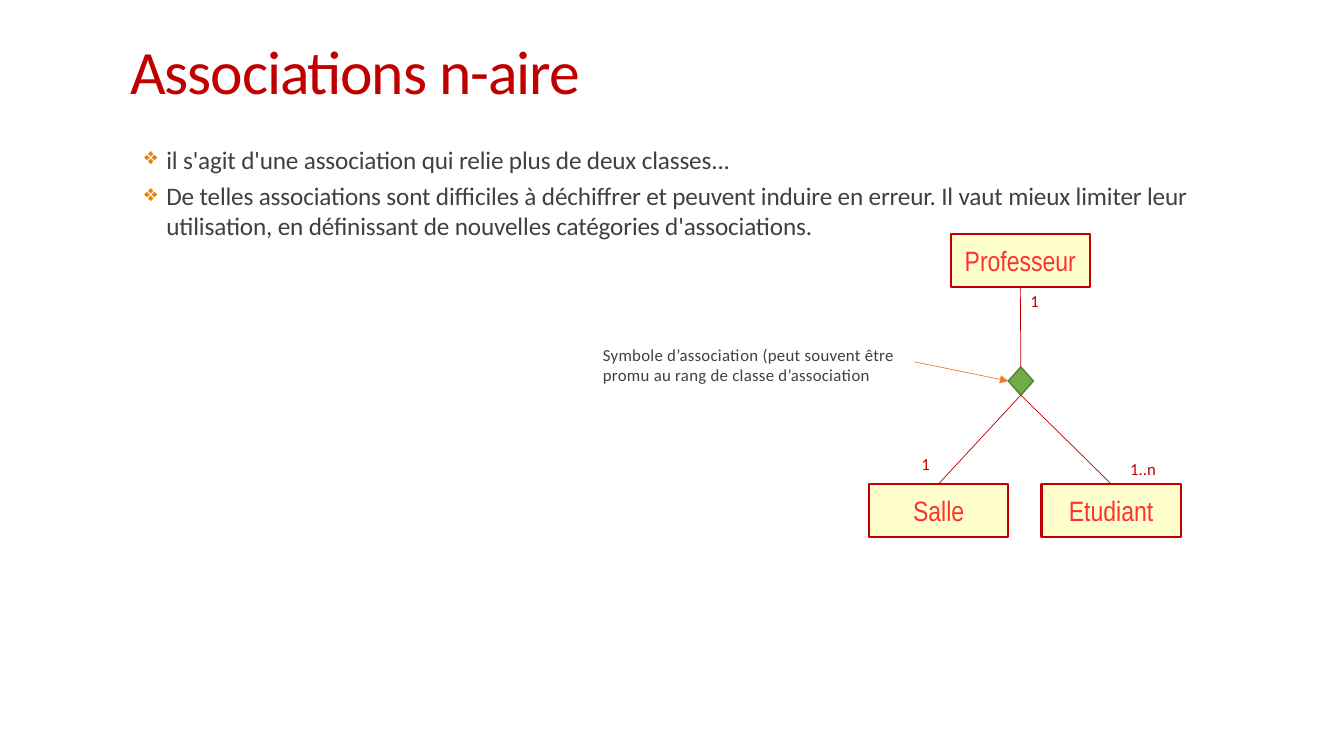
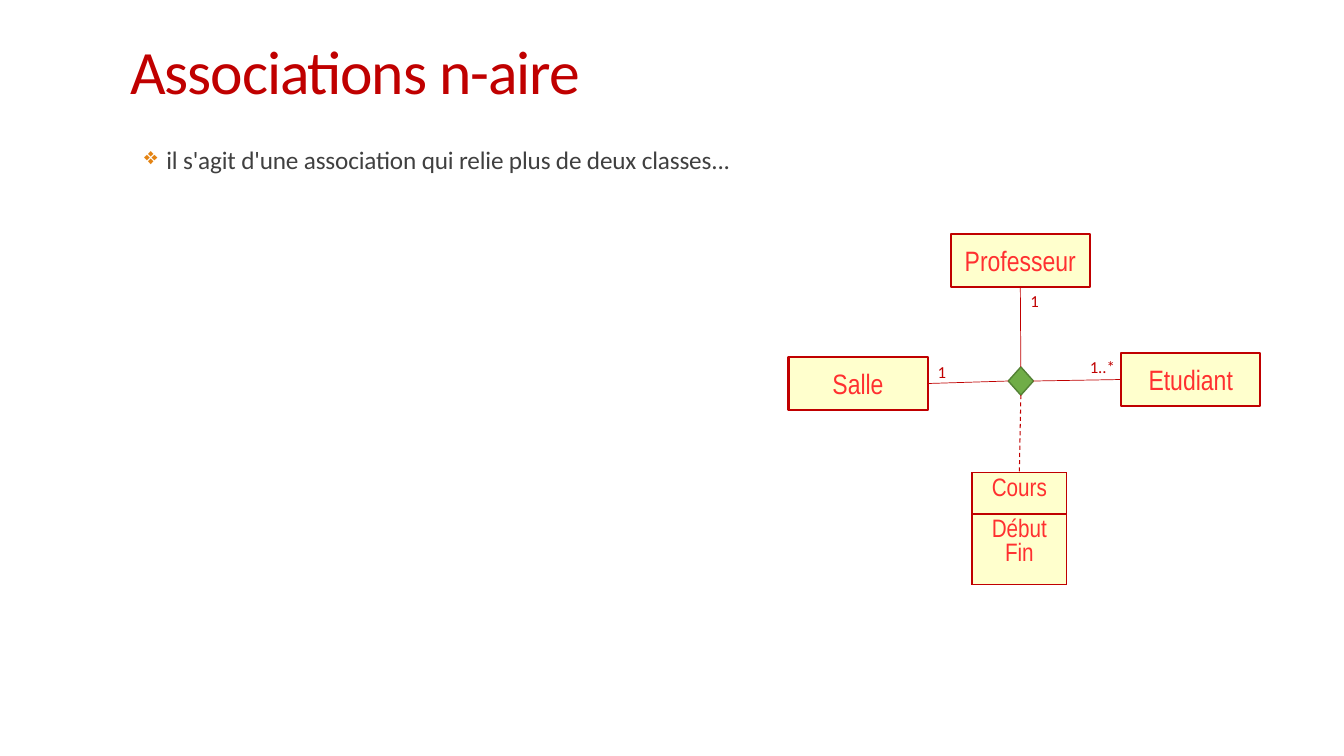
from dataclasses import dataclass
from typing import Optional

from lxml.etree import SubElement
from pptx import Presentation
from pptx.dml.color import RGBColor
from pptx.enum.dml import MSO_LINE
from pptx.enum.shapes import MSO_CONNECTOR, MSO_SHAPE
from pptx.enum.text import MSO_ANCHOR, PP_ALIGN
from pptx.oxml.ns import qn
from pptx.util import Inches, Pt

TOP, LEFT, BOTTOM, RIGHT = range(4)


@dataclass(frozen=True)
class Theme:
    red: RGBColor = RGBColor(0xC0, 0x00, 0x00)
    class_text: RGBColor = RGBColor(0xFF, 0x30, 0x30)
    class_fill: RGBColor = RGBColor(0xFF, 0xFF, 0xCD)
    body: RGBColor = RGBColor(0x40, 0x40, 0x40)
    bullet: str = "E48312"
    diamond_fill: RGBColor = RGBColor(0x70, 0xAD, 0x47)
    diamond_line: RGBColor = RGBColor(0x53, 0x81, 0x35)
    arrow: RGBColor = RGBColor(0xED, 0x7D, 0x31)
    text_font: str = "Calibri"
    class_font: str = "Arial Narrow"
    title_size: int = 44
    body_size: int = 18
    class_size: int = 20
    note_size: int = 12


THEME = Theme()
TITLE = "Associations n-aire"
DEFINITION = "il s'agit d'une association qui relie plus de deux classes..."
WARNING = (
    "De telles associations sont difficiles à déchiffrer et peuvent induire en erreur. "
    "Il vaut mieux limiter leur utilisation, en définissant de nouvelles catégories d'associations."
)
NOTE = "Symbole d’association (peut souvent être promu au rang de classe d’association"


@dataclass(frozen=True)
class ClassBox:
    name: str
    left: float
    top: float
    box_side: int
    diamond_side: int


@dataclass(frozen=True)
class Label:
    text: str
    left: float
    top: float
    width: float = 0.25


PROFESSOR = ClassBox("Professeur", 9.43, 2.32, BOTTOM, TOP)
PROFESSOR_LABEL = Label("1", 10.12, 2.84)


def style_paragraph(paragraph, size: int, color: RGBColor, font: str, spacing: float = 0) -> None:
    for run in paragraph.runs:
        run.font.size = Pt(size)
        run.font.name = font
        run.font.color.rgb = color
        if spacing:
            run.font._element.set("spc", str(round(spacing * 100)))


def add_text(slide, text: str, left: float, top: float, width: float, height: float,
             size: int, color: RGBColor, spacing: float = 0, inset: Optional[float] = None):
    """Add a text box; a given inset is the top margin and clears the others."""
    shape = slide.shapes.add_textbox(Inches(left), Inches(top), Inches(width), Inches(height))
    frame = shape.text_frame
    frame.word_wrap = True
    if inset is not None:
        frame.margin_left = frame.margin_right = frame.margin_bottom = 0
        frame.margin_top = Inches(inset)
    frame.text = text
    for paragraph in frame.paragraphs:
        style_paragraph(paragraph, size, color, THEME.text_font, spacing)
    return shape


def add_bullets(slide, items: list[str], height: float) -> None:
    shape = add_text(slide, "\n".join(items), 1.41, 1.37, 10.45, height,
                     THEME.body_size, THEME.body, -0.1, 0.06)
    for index, paragraph in enumerate(shape.text_frame.paragraphs):
        properties = paragraph._p.get_or_add_pPr()
        properties.set("marL", str(Inches(0.24)))
        properties.set("indent", str(Inches(-0.22)))
        color = SubElement(properties, qn("a:buClr"))
        SubElement(color, qn("a:srgbClr"), val=THEME.bullet)
        SubElement(properties, qn("a:buSzPct"), val="94000")
        SubElement(properties, qn("a:buChar"), char="❖")
        if index:
            paragraph.space_before = Pt(4.4)


def add_shape(slide, kind: MSO_SHAPE, left: float, top: float, width: float, height: float,
              fill: RGBColor, line: RGBColor, line_width: float):
    shape = slide.shapes.add_shape(kind, Inches(left), Inches(top), Inches(width), Inches(height))
    shape.shadow.inherit = False
    shape.fill.solid()
    shape.fill.fore_color.rgb = fill
    shape.line.color.rgb = line
    shape.line.width = Pt(line_width)
    return shape


def add_line(slide, start: tuple[float, float] = (0, 0), end: tuple[float, float] = (0, 0),
             color: RGBColor = THEME.red, width: float = 0.5):
    connector = slide.shapes.add_connector(MSO_CONNECTOR.STRAIGHT, *map(Inches, start + end))
    connector.line.color.rgb = color
    connector.line.width = Pt(width)
    SubElement(connector._element.spPr, qn("a:effectLst"))
    return connector


def add_association(slide, boxes: list[ClassBox], labels: list[Label]):
    """Draw the classes, each joined to the central diamond, and return the diamond."""
    diamond = add_shape(slide, MSO_SHAPE.DIAMOND, 10, 3.64, 0.25, 0.28,
                        THEME.diamond_fill, THEME.diamond_line, 1)
    for box in boxes:
        shape = add_shape(slide, MSO_SHAPE.RECTANGLE, box.left, box.top, 1.38, 0.53,
                          THEME.class_fill, THEME.red, 1.5)
        frame = shape.text_frame
        frame.text = box.name
        frame.vertical_anchor = MSO_ANCHOR.MIDDLE
        paragraph = frame.paragraphs[0]
        paragraph.alignment = PP_ALIGN.CENTER
        style_paragraph(paragraph, THEME.class_size, THEME.class_text, THEME.class_font)
        connector = add_line(slide)
        connector.begin_connect(diamond, box.diamond_side)
        connector.end_connect(shape, box.box_side)
    for label in labels:
        add_text(slide, label.text, label.left, label.top, label.width, 0.3,
                 THEME.note_size, THEME.red)
    return diamond


def add_class_table(slide, rows: list[tuple[str, float]]) -> None:
    """Draw an association class; each row is its text and height."""
    height = sum(row_height for _, row_height in rows)
    table = slide.shapes.add_table(len(rows), 1, Inches(9.64), Inches(4.69),
                                   Inches(0.94), Inches(height)).table
    table.first_row = table.horz_banding = False
    for index, (text, row_height) in enumerate(rows):
        table.rows[index].height = Inches(row_height)
        cell = table.cell(index, 0)
        cell.text_frame.text = text
        for paragraph in cell.text_frame.paragraphs:
            paragraph.alignment = PP_ALIGN.CENTER
            style_paragraph(paragraph, THEME.body_size, THEME.class_text, THEME.class_font)
        # Borders come before the fill in the cell properties
        properties = cell._tc.get_or_add_tcPr()
        for side in ("lnL", "lnR", "lnT", "lnB"):
            border = SubElement(properties, qn(f"a:{side}"), w=str(Pt(1)))
            fill = SubElement(border, qn("a:solidFill"))
            SubElement(fill, qn("a:srgbClr"), val=str(THEME.red))
        cell.fill.solid()
        cell.fill.fore_color.rgb = THEME.class_fill


def add_slide(presentation, bullets: list[str], bullets_height: float):
    slide = presentation.slides.add_slide(presentation.slide_layouts[6])
    title = add_text(slide, TITLE, 1.29, 0.27, 7.99, 0.83,
                     THEME.title_size, THEME.red, -0.8, 0.01)
    title.text_frame.vertical_anchor = MSO_ANCHOR.MIDDLE
    add_bullets(slide, bullets, bullets_height)
    return slide


def build_symbol_slide(presentation) -> None:
    slide = add_slide(presentation, [DEFINITION, WARNING], 1.03)
    diamond = add_association(
        slide,
        [PROFESSOR, ClassBox("Etudiant", 10.33, 4.8, TOP, BOTTOM),
         ClassBox("Salle", 8.62, 4.8, TOP, BOTTOM)],
        [PROFESSOR_LABEL, Label("1", 9.04, 4.45), Label("1..n", 11.11, 4.5, 0.61)],
    )
    # Note pointing at the diamond
    add_text(slide, NOTE, 5.98, 3.35, 3.08, 0.48, THEME.note_size, THEME.body, 0.2, 0.07)
    arrow = add_line(slide, start=(9.07, 3.59), color=THEME.arrow)
    arrow.end_connect(diamond, LEFT)
    SubElement(arrow.line._get_or_add_ln(), qn("a:tailEnd"), type="triangle")


def build_class_slide(presentation) -> None:
    slide = add_slide(presentation, [DEFINITION], 0.36)
    diamond = add_association(
        slide,
        [PROFESSOR, ClassBox("Etudiant", 11.12, 3.5, LEFT, RIGHT),
         ClassBox("Salle", 7.82, 3.54, RIGHT, LEFT)],
        [PROFESSOR_LABEL, Label("1", 9.2, 3.54), Label("1..*", 10.71, 3.49, 0.61)],
    )
    # Association class, tied to the diamond by a dashed line
    add_class_table(slide, [("Cours", 0.41), ("Début\nFin", 0.7)])
    link = add_line(slide, end=(10.11, 4.69), width=0.75)
    link.begin_connect(diamond, BOTTOM)
    link.line.dash_style = MSO_LINE.DASH


def main() -> None:
    presentation = Presentation()
    presentation.slide_width = Inches(13.33)
    presentation.slide_height = Inches(7.5)
    build_symbol_slide(presentation)
    build_class_slide(presentation)
    presentation.save("out.pptx")


if __name__ == "__main__":
    main()
